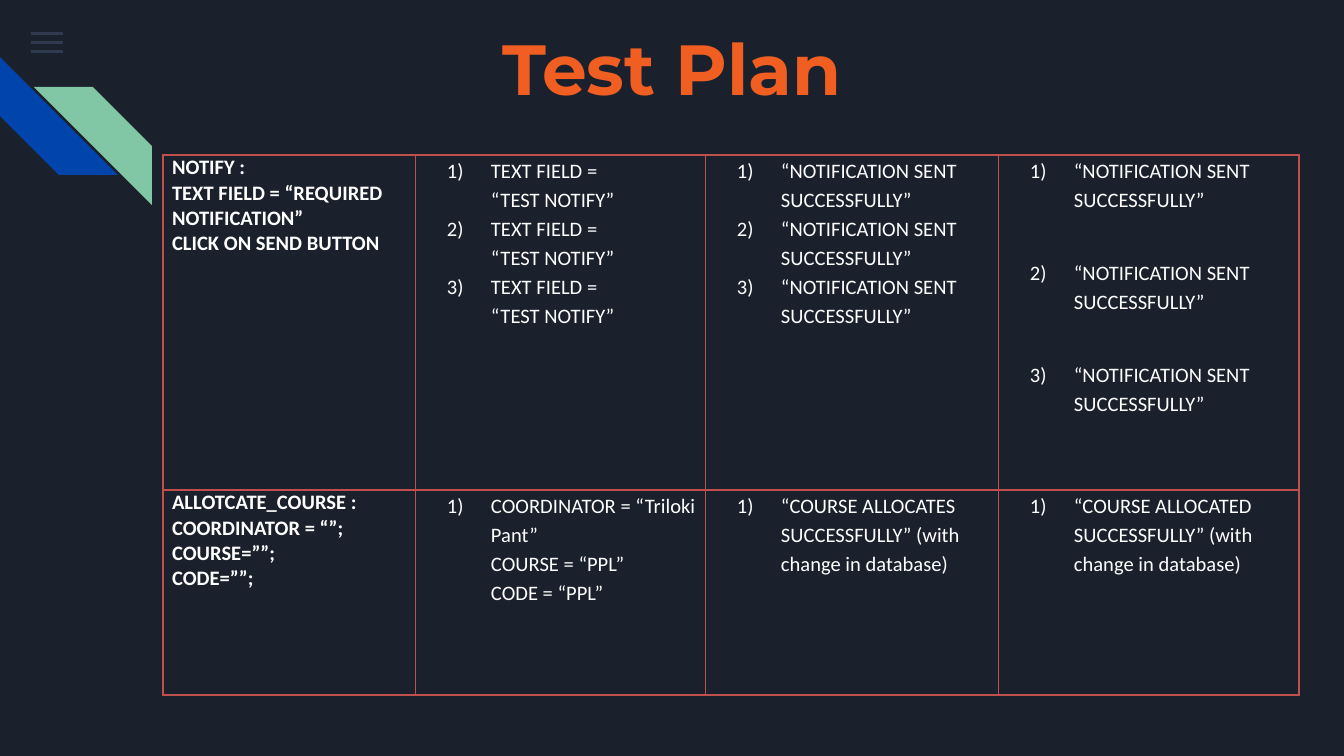
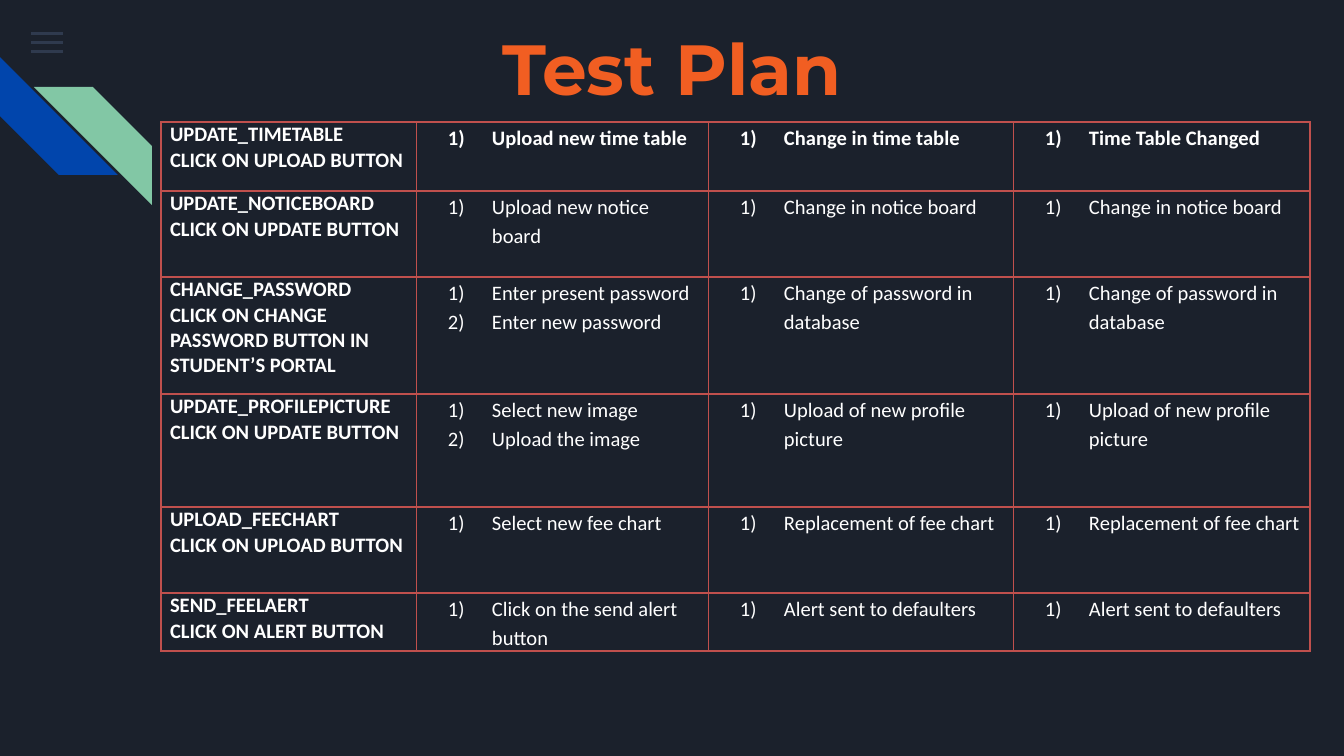
import pptx
import pptx.dml.color
import pptx.enum.shapes
import pptx.enum.text
import pptx.oxml
import pptx.oxml.ns
import pptx.util
from lxml import etree

PX = 914400 / 134.4
WIDTH, HEIGHT = 1344, 756
NAVY, BLUE, GREEN, SLATE = "1B212C", "0145AC", "82C7A5", "55688B"
ORANGE, RED, WHITE = "F15E22", "C0504D", "FFFFFF"
SHAPE = pptx.enum.shapes.MSO_SHAPE
ANCHOR = pptx.enum.text.MSO_ANCHOR
LINE_BREAK = "\v"


def px(count):
    return pptx.util.Emu(round(count * PX))


def paint(fill, color):
    fill.solid()
    fill.fore_color.rgb = pptx.dml.color.RGBColor.from_string(color)


def add_child(parent, tag, **attributes):
    child = etree.SubElement(parent, pptx.oxml.ns.qn(tag))
    for name, value in attributes.items():
        child.set(name, str(value))
    return child


def set_margins(frame, margin):
    frame.margin_left = frame.margin_right = px(margin)
    frame.margin_top = frame.margin_bottom = px(margin)


class PlanDeck:
    def __init__(self):
        self.deck = pptx.Presentation()
        self.deck.slide_width, self.deck.slide_height = px(WIDTH), px(HEIGHT)
        paint(self.deck.slide_master.background.fill, NAVY)
        self.page = None

    def start_page(self, title):
        layout = self.deck.slide_layouts.get_by_name("Title Only")
        self.page = self.deck.slides.add_slide(layout)
        for row in range(3):
            bar = self.shape(SHAPE.RECTANGLE, 31, 32 + 9 * row, 32, 3, SLATE)
            tint = bar.fill._xPr.find(".//" + pptx.oxml.ns.qn("a:srgbClr"))
            add_child(tint, "a:alpha", val=36000)
        blue = self.shape(SHAPE.DIAGONAL_STRIPE, 0, 57, 118, 118, BLUE)
        blue.rotation = 270
        green = self.shape(SHAPE.DIAGONAL_STRIPE, 34, 87, 118, 118, GREEN)
        green._element.spPr.xfrm.set("flipH", "1")
        self.title(title)

    def shape(self, kind, left, top, width, height, color):
        shape = self.page.shapes.add_shape(kind, px(left), px(top), px(width), px(height))
        paint(shape.fill, color)
        shape.line.fill.background()
        shape.shadow.inherit = False
        return shape

    def title(self, text):
        box = self.page.shapes.title
        box.left, box.top, box.width, box.height = px(0), px(0), px(WIDTH), px(134)
        frame = box.text_frame
        frame.text = text
        frame.word_wrap = True
        frame.auto_size = pptx.enum.text.MSO_AUTO_SIZE.NONE
        frame.vertical_anchor = ANCHOR.MIDDLE
        set_margins(frame, 13)
        para = frame.paragraphs[0]
        para.alignment = pptx.enum.text.PP_ALIGN.CENTER
        self.font(para, "Montserrat", 38, ORANGE, True)

    def font(self, para, name, size, color, bold):
        para.font.name, para.font.size, para.font.bold = name, pptx.util.Pt(size), bold
        paint(para.font.fill, color)

    def table(self, left, top, columns, rows, content, bold_rows=(), gaps=None):
        """gaps maps a (row, column) to the points between its items."""
        frame = self.page.shapes.add_table(
            len(rows), len(columns), px(left), px(top), px(sum(columns)), px(sum(rows)))
        table = frame.table
        table.first_row = table.horz_banding = False
        for column, width in zip(table.columns, columns):
            column.width = px(width)
        for row, height in zip(table.rows, rows):
            row.height = px(height)
        last = len(columns) - 1
        for r, texts in enumerate(content):
            for c, items in enumerate(texts):
                cell = table.cell(r, c)
                self.borders(cell, 1 if c == 0 else 0.5, 1 if c == last else 0.5)
                self.cell(cell, items, numbered=c > 0, bold=c == 0 or r in bold_rows,
                          gap=(gaps or {}).get((r, c), 0))

    def borders(self, cell, left, right):
        properties = cell._tc.get_or_add_tcPr()
        for side, points in (("L", left), ("R", right), ("T", 1), ("B", 1)):
            line = add_child(properties, "a:ln" + side, w=pptx.util.Pt(points))
            add_child(add_child(line, "a:solidFill"), "a:srgbClr", val=RED)

    def cell(self, cell, items, numbered, bold, gap):
        paint(cell.fill, NAVY)
        cell.vertical_anchor = ANCHOR.TOP
        cell.margin_left = cell.margin_right = px(9)
        cell.margin_top = cell.margin_bottom = 0
        frame = cell.text_frame
        for index, text in enumerate(items):
            para = frame.add_paragraph() if index else frame.paragraphs[0]
            para.text = text
            if numbered:
                self.number(para)
                para.line_spacing = 1.15
            if index and gap:
                para.space_before = pptx.util.Pt(gap)
            self.font(para, "Calibri", 11, WHITE, bold)

    def number(self, para):
        properties = para._p.get_or_add_pPr()
        properties.set("marL", str(px(67)))
        properties.set("indent", str(px(-44)))
        add_child(add_child(properties, "a:buClr"), "a:srgbClr", val=WHITE)
        add_child(properties, "a:buFont", typeface="Calibri")
        add_child(properties, "a:buAutoNum", type="arabicParenR")


def main():
    plan = PlanDeck()

    sent = ["“NOTIFICATION SENT SUCCESSFULLY”"] * 3
    plan.start_page("Test Plan")
    plan.table(163, 155, [252, 290, 293, 301], [335, 205], [
        [["NOTIFY :", "TEXT FIELD = “REQUIRED NOTIFICATION”", "CLICK ON SEND BUTTON"],
         ["TEXT FIELD =" + LINE_BREAK + "“TEST NOTIFY”"] * 3, sent, sent],
        [["ALLOTCATE_COURSE :", "COORDINATOR = “”;", "COURSE=””;", "CODE=””;"],
         [LINE_BREAK.join(["COORDINATOR = “Triloki Pant”", "COURSE = “PPL”", "CODE = “PPL”"])],
         ["“COURSE ALLOCATES SUCCESSFULLY” (with change in database)"],
         ["“COURSE ALLOCATED SUCCESSFULLY” (with change in database)"]],
    ], gaps={(0, 3): 23.5})

    plan.start_page("Test Plan")
    plan.table(161, 122, [255, 292, 305, 297], [69, 86, 117, 113, 86, 58], [
        [["UPDATE_TIMETABLE", "CLICK ON UPLOAD BUTTON"],
         ["Upload new time table"], ["Change in time table"], ["Time Table Changed"]],
        [["UPDATE_NOTICEBOARD", "CLICK ON UPDATE BUTTON"],
         ["Upload new notice board"], ["Change in notice board"], ["Change in notice board"]],
        [["CHANGE_PASSWORD", "CLICK ON CHANGE PASSWORD BUTTON IN STUDENT’S PORTAL"],
         ["Enter present password", "Enter new password"],
         ["Change of password in database"], ["Change of password in database"]],
        [["UPDATE_PROFILEPICTURE", "CLICK ON UPDATE BUTTON"],
         ["Select new image", "Upload the image"],
         ["Upload of new profile picture"], ["Upload of new profile picture"]],
        [["UPLOAD_FEECHART", "CLICK ON UPLOAD BUTTON"],
         ["Select new fee chart"], ["Replacement of fee chart"], ["Replacement of fee chart"]],
        [["SEND_FEELAERT", "CLICK ON ALERT BUTTON"],
         ["Click on the send alert button"],
         ["Alert sent to defaulters"], ["Alert sent to defaulters"]],
    ], bold_rows=(0,))

    plan.deck.save("out.pptx")


if __name__ == "__main__":
    main()
